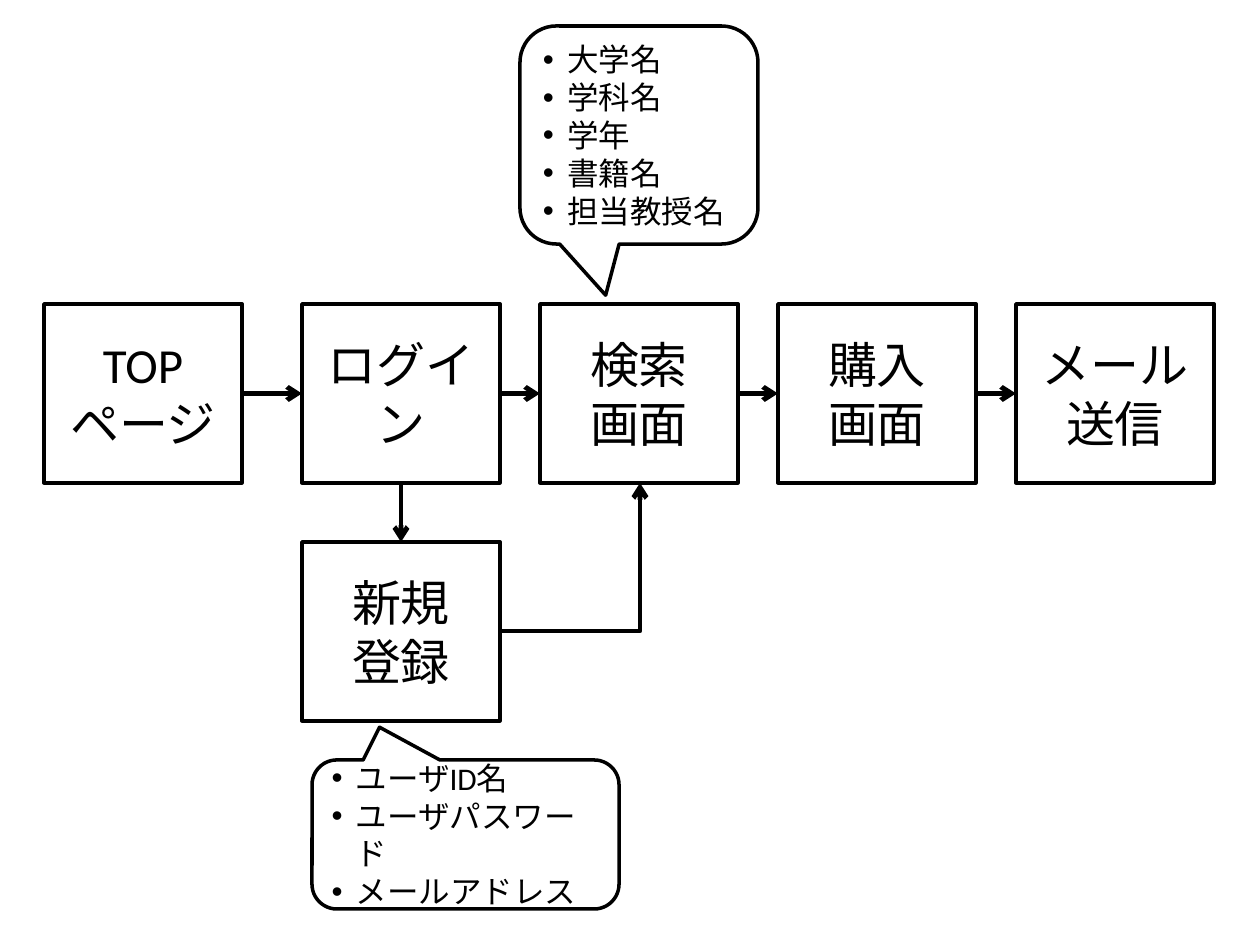
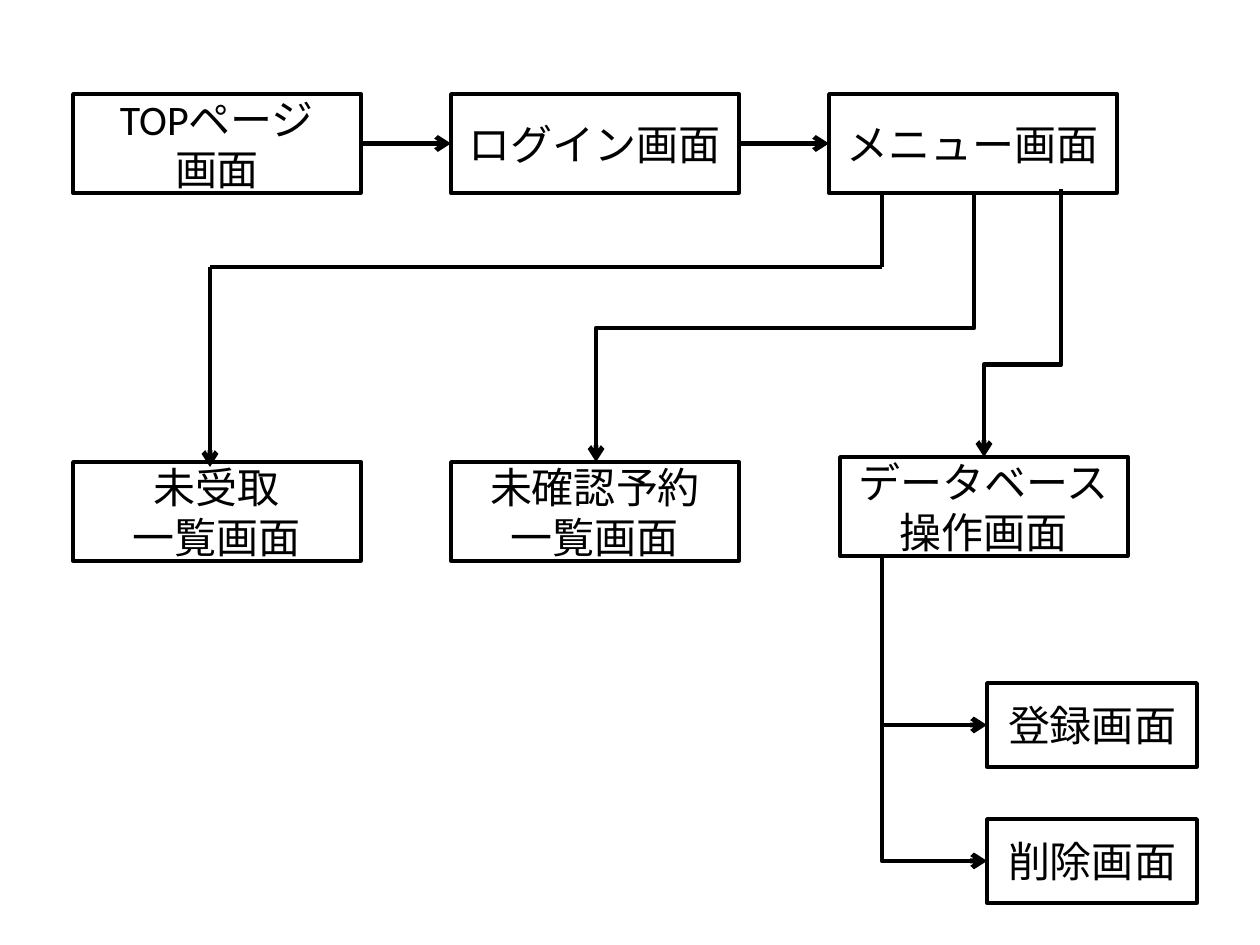
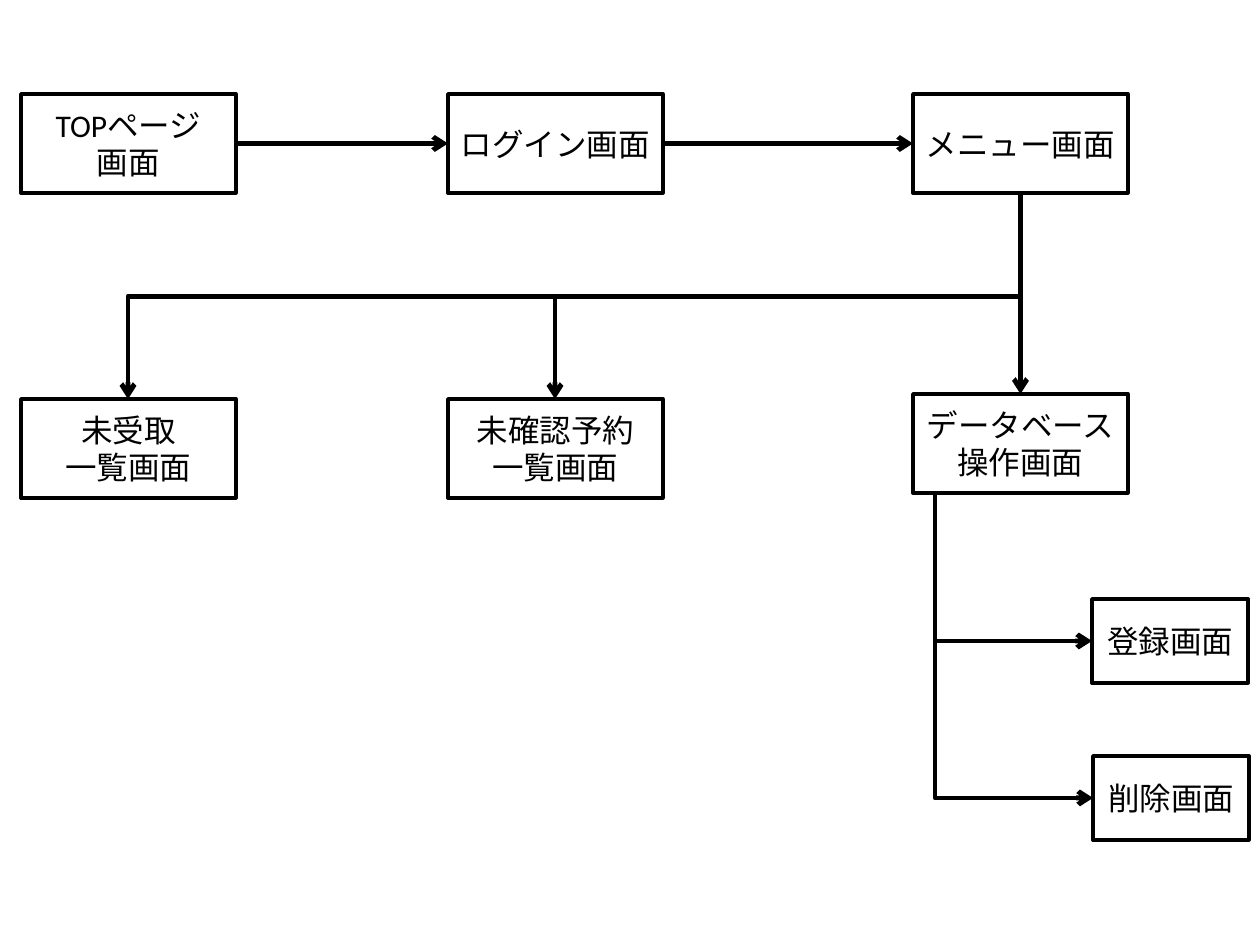
from dataclasses import dataclass

from lxml import etree
from pptx import Presentation, util as u
from pptx.dml.color import RGBColor
from pptx.enum import lang, shapes, text
from pptx.oxml import ns

# Shared look
SCALE = 914400 / 126  # EMU per pixel
COLORS = {"ink": "000000", "paper": "FFFFFF"}
FONT = "Calibri"
BOX_LINE, ARROW_LINE = 2, 2.75
BULLET_INDENT = 24
TOP, LEFT, BOTTOM, RIGHT = range(4)  # connection sites of a rectangle


@dataclass
class Box:
    x: int
    y: int
    width: int
    height: int
    lines: list[str]
    size: int


@dataclass
class Callout(Box):
    tip: tuple[float, float]


@dataclass
class Elbow:
    start: tuple[int, int]
    end: tuple[int, int]
    preset: str
    bend: float = 0.5


def px(value: float) -> int:
    return round(value * SCALE)


def color(name: str) -> RGBColor:
    return RGBColor.from_string(COLORS[name])


# Boxes and callouts
def write_lines(shape, box: Box, bulleted: bool) -> None:
    frame = shape.text_frame
    frame.word_wrap = True
    frame.vertical_anchor = text.MSO_ANCHOR.MIDDLE
    for index, line in enumerate(box.lines):
        para = frame.paragraphs[0] if index == 0 else frame.add_paragraph()
        para.alignment = text.PP_ALIGN.LEFT if bulleted else text.PP_ALIGN.CENTER
        if bulleted:
            props = para._p.get_or_add_pPr()
            props.set("marL", str(px(BULLET_INDENT)))
            props.set("indent", str(-px(BULLET_INDENT)))
            etree.SubElement(props, ns.qn("a:buFont"), typeface="Arial")
            etree.SubElement(props, ns.qn("a:buChar"), char="•")
        span = para.add_run()
        span.text = line
        span.font.name = FONT
        span.font.size = u.Pt(box.size)
        span.font.language_id = lang.MSO_LANGUAGE_ID.JAPANESE
        span.font.color.rgb = color("ink")


def draw_box(page, box: Box):
    is_callout = isinstance(box, Callout)
    kinds = shapes.MSO_SHAPE
    kind = kinds.ROUNDED_RECTANGULAR_CALLOUT if is_callout else kinds.RECTANGLE
    shape = page.shapes.add_shape(
        kind, px(box.x), px(box.y), px(box.width), px(box.height))
    shape.shadow.inherit = False
    shape.line.color.rgb = color("ink")
    shape.line.width = u.Pt(BOX_LINE)
    if is_callout:
        shape.fill.solid()
        shape.fill.fore_color.rgb = color("paper")
        shape.adjustments[0], shape.adjustments[1] = box.tip
    else:
        shape.fill.background()
    write_lines(shape, box, is_callout)
    return shape


# Lines and arrows
def draw_line(page, start: tuple, end: tuple, arrow: bool = True,
              kind=shapes.MSO_CONNECTOR.STRAIGHT):
    line = page.shapes.add_connector(kind, *map(px, (*start, *end)))
    line.line.color.rgb = color("ink")
    line.line.width = u.Pt(ARROW_LINE)
    if arrow:
        etree.SubElement(line.line._get_or_add_ln(), ns.qn("a:tailEnd"), type="arrow")
    etree.SubElement(line.element.spPr, ns.qn("a:effectLst"))
    return line


def join(page, source, target, source_site: int = RIGHT, target_site: int = LEFT) -> None:
    arrow = draw_line(page, (0, 0), (1, 1))
    arrow.begin_connect(source, source_site)
    arrow.end_connect(target, target_site)


def draw_elbow(page, elbow: Elbow) -> None:
    """Draw a bent arrow; one that heads down is a turned sideways elbow."""
    (x1, y1), (x2, y2) = elbow.start, elbow.end
    start, end = elbow.start, elbow.end
    heads_down = y2 > y1
    if heads_down:
        wide, high = y2 - y1, abs(x2 - x1)
        start = ((x1 + x2 - wide) / 2, (y1 + y2 - high) / 2)
        end = (start[0] + wide, start[1] + high)
    arrow = draw_line(page, start, end, kind=shapes.MSO_CONNECTOR.ELBOW)
    props = arrow.element.spPr
    if heads_down:
        frame = props.find(ns.qn("a:xfrm"))
        frame.set("rot", str((270 if x2 > x1 else 90) * 60000))
        if x2 > x1:
            frame.set("flipH", "1")
    geometry = props.find(ns.qn("a:prstGeom"))
    geometry.set("prst", elbow.preset)
    if elbow.preset == "bentConnector3":
        guides = geometry.find(ns.qn("a:avLst"))
        etree.SubElement(guides, ns.qn("a:gd"), name="adj1",
                         fmla=f"val {round(elbow.bend * 100000)}")


# Screen map shared by the two administration slides
@dataclass
class ScreenMap:
    size: int
    width: int
    columns: tuple[int, int, int]
    list_y: int
    database: tuple[int, int]
    small_width: int
    small_spots: list[tuple[int, int]]
    elbows: list[Elbow]
    branch: tuple[tuple[int, int], tuple[int, int]]


def draw_screen_map(page, plan: ScreenMap) -> tuple:
    top_y, height, small_height = 94, 99, 84
    names = [["TOPページ", "画面"], ["ログイン画面"], ["メニュー画面"]]
    top_row = [draw_box(page, Box(x, top_y, plan.width, height, name, plan.size))
               for x, name in zip(plan.columns, names)]
    for source, target in zip(top_row, top_row[1:]):
        join(page, source, target)
    database = draw_box(page, Box(*plan.database, plan.width, height,
                                  ["データベース", "操作画面"], plan.size))
    for (x, y), name in zip(plan.small_spots, ["登録画面", "削除画面"]):
        draw_box(page, Box(x, y, plan.small_width, small_height, [name], plan.size))
    for x, name in zip(plan.columns, ["未受取", "未確認予約"]):
        draw_box(page, Box(x, plan.list_y, plan.width, height,
                           [name, "一覧画面"], plan.size))
    draw_line(page, *plan.branch)
    for elbow in plan.elbows:
        draw_elbow(page, elbow)
    return top_row[-1], database


deck = Presentation()
deck.slide_width, deck.slide_height = u.Inches(10), u.Inches(7.5)
blank = deck.slide_layouts[6]

# Slide 1: purchase flow
page = deck.slides.add_slide(blank)
step_width, step_height, pitch, step_y = 198, 179, 238, 304
login_x = 302


def step(x: int, y: int, *lines: str):
    return draw_box(page, Box(x, y, step_width, step_height, list(lines), 28))


flow = [step(44, step_y, "TOPページ")]
for column, lines in enumerate([["ログイン"], ["検索", "画面"], ["購入", "画面"], ["メール送信"]]):
    flow.append(step(login_x + column * pitch, step_y, *lines))
register = step(login_x, step_y + pitch, "新規", "登録")
for source, target in zip(flow, flow[1:]):
    join(page, source, target)
join(page, flow[1], register, BOTTOM, TOP)
draw_box(page, Callout(520, 26, 238, 218,
                       ["大学名", "学科名", "学年", "書籍名", "担当教授名"],
                       18, (-0.14, 0.735)))
draw_box(page, Callout(312, 760, 307, 149,
                       ["ユーザID名", "ユーザパスワード", "メールアドレス"],
                       18, (-0.28, -0.72)))
draw_elbow(page, Elbow((501, 631), (640, 483), "bentConnector2"))

# Slide 2: screen map with separate routes from the menu
page = deck.slides.add_slide(blank)
draw_screen_map(page, ScreenMap(
    size=24, width=288, columns=(73, 451, 829), list_y=462, database=(840, 457),
    small_width=210, small_spots=[(987, 683), (987, 819)],
    elbows=[Elbow((882, 557), (987, 861), "bentConnector2"),
            Elbow((974, 194), (596, 462), "bentConnector3"),
            Elbow((1061, 189), (984, 457), "bentConnector3", 0.656)],
    branch=((882, 725), (987, 725))))
draw_line(page, (210, 267), (210, 467))
draw_line(page, (210, 267), (882, 267), arrow=False)
draw_line(page, (882, 195), (882, 267), arrow=False)

# Slide 3: screen map with one trunk from the menu
page = deck.slides.add_slide(blank)
menu, database = draw_screen_map(page, ScreenMap(
    size=18, width=215, columns=(21, 448, 913), list_y=399, database=(913, 394),
    small_width=156, small_spots=[(1092, 599), (1093, 756)],
    elbows=[Elbow((935, 494), (1093, 798), "bentConnector2"),
            Elbow((1021, 194), (555, 399), "bentConnector3"),
            Elbow((1021, 194), (128, 399), "bentConnector3")],
    branch=((934, 641), (1092, 641))))
join(page, menu, database, BOTTOM, TOP)

deck.save("out.pptx")
